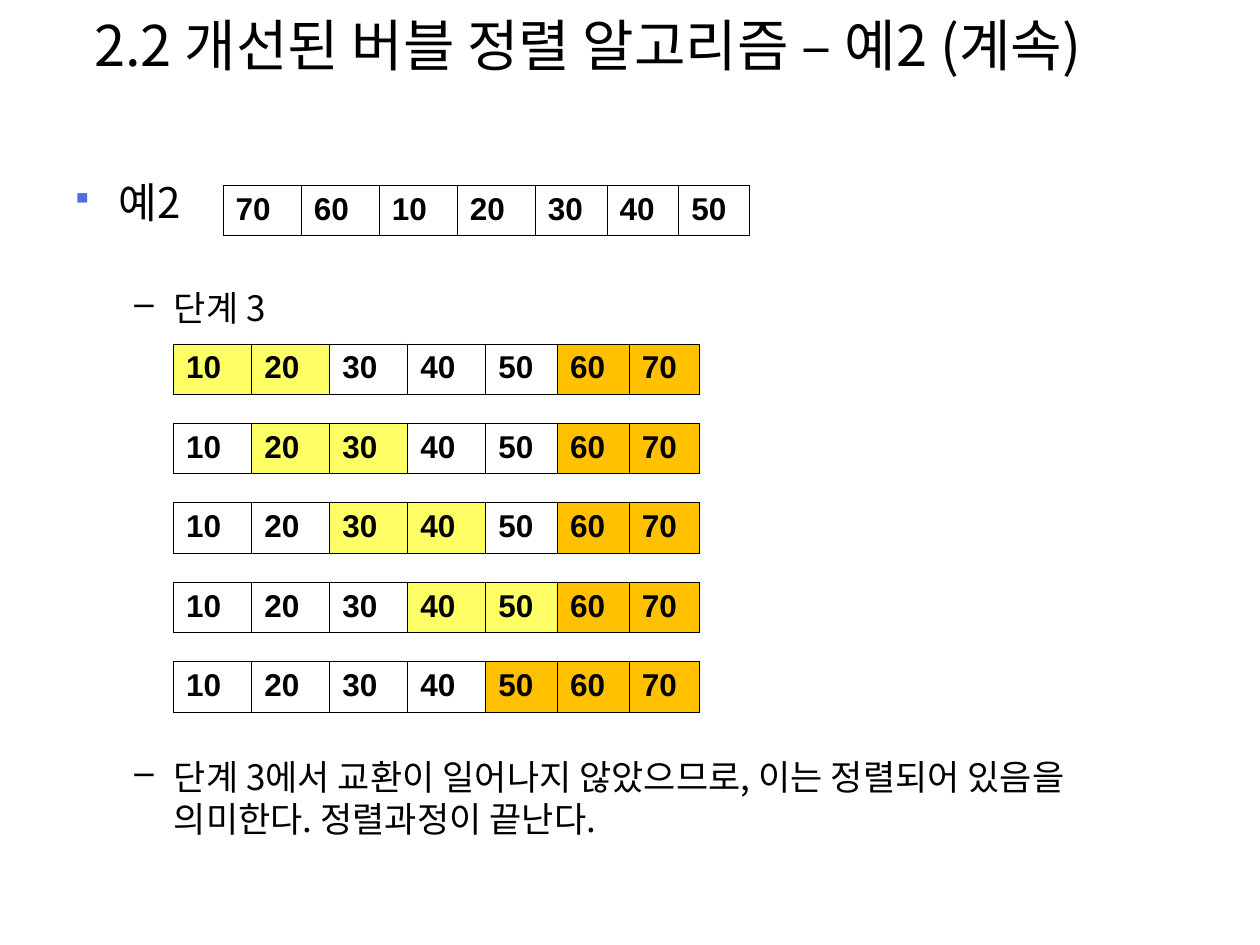
import pptx
import pptx.dml.color
import pptx.enum.text
import pptx.oxml.ns
import pptx.util
from lxml import etree

Pt = pptx.util.Pt
RGBColor = pptx.dml.color.RGBColor
qn = pptx.oxml.ns.qn

BLACK = RGBColor(0x00, 0x00, 0x00)
BULLET_BLUE = RGBColor(0x52, 0x6D, 0xE0)
COMPARED = RGBColor(0xFF, 0xFF, 0x66)
SORTED = RGBColor(0xFF, 0xC0, 0x00)
KOREAN_FONT = "Noto Sans CJK KR"
COLUMN_WIDTHS = [44.6] * 4 + [41, 41, 40.3]
ROW_HEIGHT = 28.8


def write(paragraph, text, size, font=KOREAN_FONT, bold=False, line=None,
          before=0, bullet=None, bullet_color=BLACK, bullet_percent=100,
          indent=0):
    """Fill a paragraph; line, before and indent are in points."""
    if bullet:
        props = paragraph._p.get_or_add_pPr()
        props.set("marL", str(Pt(indent[0])))
        props.set("indent", str(Pt(indent[1])))
        color = etree.SubElement(props, qn("a:buClr"))
        etree.SubElement(color, qn("a:srgbClr"), val=str(bullet_color))
        etree.SubElement(props, qn("a:buSzPct"), val=str(bullet_percent * 1000))
        etree.SubElement(props, qn("a:buChar"), char=bullet)
    if line:
        paragraph.line_spacing = Pt(line)
    if before:
        paragraph.space_before = Pt(before)
    run = paragraph.add_run()
    run.text = text
    run.font.size = Pt(size)
    run.font.name = font
    run.font.bold = bold
    run.font.color.rgb = BLACK
    etree.SubElement(run._r.get_or_add_rPr(), qn("a:ea"), typeface=font)


def add_array(left, top, values, fills):
    """Draw a one-row table; fills maps a column index to its colour."""
    table = slide.shapes.add_table(1, len(values), Pt(left), Pt(top),
                                   Pt(sum(COLUMN_WIDTHS)), Pt(ROW_HEIGHT)).table
    table.first_row = table.horz_banding = False
    for i, value in enumerate(values):
        table.columns[i].width = Pt(COLUMN_WIDTHS[i])
        cell = table.cell(0, i)
        write(cell.text_frame.paragraphs[0], str(value), 18, font="Arial", bold=True)
        props = cell._tc.get_or_add_tcPr()
        for side in ("a:lnL", "a:lnR", "a:lnT", "a:lnB"):
            border = etree.SubElement(props, qn(side), w=str(Pt(0.45)))
            solid = etree.SubElement(border, qn("a:solidFill"))
            etree.SubElement(solid, qn("a:srgbClr"), val=str(BLACK))
        if i in fills:
            cell.fill.solid()
            cell.fill.fore_color.rgb = fills[i]
        else:
            cell.fill.background()


deck = pptx.Presentation()
deck.slide_width = Pt(720)
deck.slide_height = Pt(540)
slide = deck.slides.add_slide(deck.slide_layouts[6])

# Title
title = slide.shapes.add_textbox(Pt(46.8), Pt(0), Pt(631.4), Pt(60.5)).text_frame
title.word_wrap = True
title.vertical_anchor = pptx.enum.text.MSO_ANCHOR.TOP
write(title.paragraphs[0], "2.2 개선된 버블 정렬 알고리즘 – 예2 (계속)", 32, line=41)

# Outline, with room left for the arrays
outline = slide.shapes.add_textbox(Pt(33.8), Pt(95.8), Pt(652.3), Pt(408.2)).text_frame
outline.word_wrap = True
write(outline.paragraphs[0], "예2", 24, line=30.4, bullet="▪",
      bullet_color=BULLET_BLUE, bullet_percent=70, indent=(27, -27))
steps = [
    ("단계 3", 34),
    ("단계 3에서 교환이 일어나지 않았으므로, 이는 정렬되어 있음을 의미한다. "
     "정렬과정이 끝난다.", 244),
]
for step, gap in steps:
    write(outline.add_paragraph(), step, 20, line=24, before=gap,
          bullet="–", indent=(58.5, -22.5))

# Input array, then one array per comparison of neighbours
add_array(127.5, 105.8, [70, 60, 10, 20, 30, 40, 50], {})
for first in range(5):
    fills = {first: COMPARED, first + 1: COMPARED, 5: SORTED, 6: SORTED}
    if first == 4:
        fills = {i: SORTED for i in (4, 5, 6)}
    add_array(99.2, 196.5 + 45.4 * first, range(10, 80, 10), fills)

deck.save("out.pptx")
